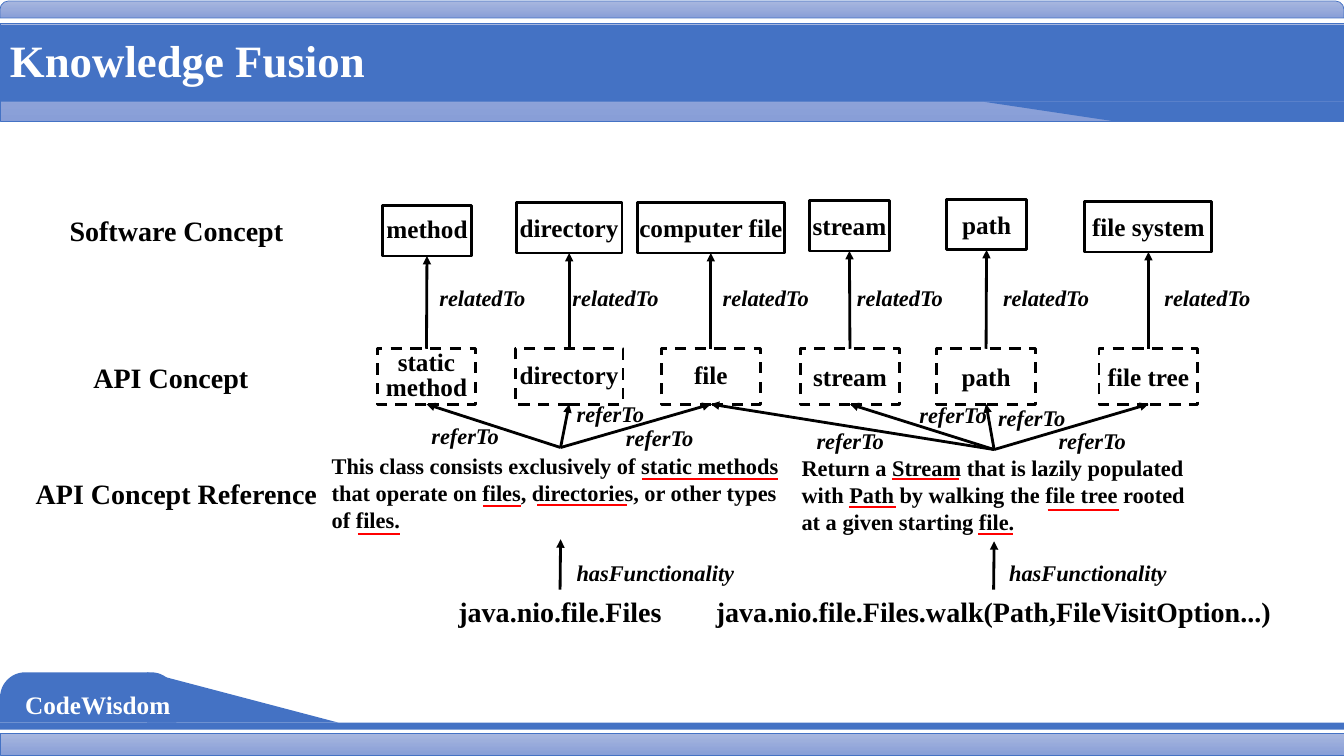
"""Build the Knowledge Fusion slide: concepts, references and API elements joined by arrows."""
from lxml.etree import SubElement
from pptx import Presentation
from pptx.dml.color import RGBColor
from pptx.enum.dml import MSO_LINE
from pptx.enum.shapes import MSO_CONNECTOR, MSO_SHAPE
from pptx.enum.text import MSO_ANCHOR, MSO_AUTO_SIZE, PP_ALIGN
from pptx.oxml.ns import qn
from pptx.util import Pt

PX = 9144
BLUE, BLACK, WHITE, RED = "4472C4", "000000", "FFFFFF", "FF0000"
TOP, BOTTOM = 0, 2
color = RGBColor.from_string

presentation = Presentation()
presentation.slide_width = 1333 * PX
presentation.slide_height = 750 * PX
slide = presentation.slides.add_slide(presentation.slide_layouts[6])


def write(text, box, shape=None, size=16, ink=BLACK, italic=False, centered=False,
          wrap=False, side=10, spacing=None):
    """Write text into a given shape, or into a new text box, and return it."""
    target = shape or slide.shapes.add_textbox(*[length * PX for length in box])
    frame = target.text_frame
    frame.word_wrap = wrap
    frame.margin_left = frame.margin_right = side * PX
    if shape:
        frame.margin_top = frame.margin_bottom = 0
        frame.vertical_anchor = MSO_ANCHOR.MIDDLE
    else:
        frame.auto_size = MSO_AUTO_SIZE.SHAPE_TO_FIT_TEXT
    paragraph = frame.paragraphs[0]
    paragraph.alignment = PP_ALIGN.CENTER if centered else PP_ALIGN.LEFT
    if spacing:
        paragraph.line_spacing = Pt(spacing)
    run = paragraph.add_run()
    run.text = text
    run.font.name = "Times New Roman"
    run.font.size = Pt(size)
    run.font.bold = True
    run.font.italic = italic
    run.font.color.rgb = color(ink)
    return target


def draw_line(ends=(0, 0, 0, 0), start=None, finish=None, ink=BLACK, width=2):
    """Draw a red mark between two points, or an arrow from one box's top to another's bottom."""
    connector = slide.shapes.add_connector(
        MSO_CONNECTOR.STRAIGHT, *[length * PX for length in ends])
    connector.line.color.rgb = color(ink)
    connector.line.width = Pt(width)
    properties = connector._element.spPr
    if start and finish:
        connector.begin_connect(start, TOP)
        connector.end_connect(finish, BOTTOM)
        SubElement(properties.find(qn("a:ln")), qn("a:tailEnd"), type="triangle")
    SubElement(properties, qn("a:effectLst"))


bands = [
    (MSO_SHAPE.ROUND_2_SAME_RECTANGLE, (0, 1, 1333, 17), True, 0),
    (MSO_SHAPE.RECTANGLE, (0, 23, 1333, 97), True, 0),
    (MSO_SHAPE.RECTANGLE, (0, 25, 1333, 76), False, 0),
    (MSO_SHAPE.RIGHT_TRIANGLE, (976, 101, 127, 19), False, 180),
    (MSO_SHAPE.RECTANGLE, (1103, 101, 230, 19), False, 0),
    (MSO_SHAPE.RECTANGLE, (0, 728, 1333, 21), True, 0),
    (MSO_SHAPE.RECTANGLE, (0, 717, 1333, 7), False, 0),
    (MSO_SHAPE.ROUND_2_SAME_RECTANGLE, (0, 667, 175, 50), False, 0),
    (MSO_SHAPE.RIGHT_TRIANGLE, (146, 667, 190, 50), False, 0),
]
for kind, box, shaded, rotation in bands:
    band = slide.shapes.add_shape(kind, *[length * PX for length in box])
    band.shadow.inherit = False
    band.rotation = rotation
    if kind == MSO_SHAPE.ROUND_2_SAME_RECTANGLE:
        band.adjustments[0] = 0.5
    if shaded:
        band.fill.gradient()
        band.fill.gradient_angle = 270
        for stop, shade in zip(band.fill.gradient_stops, ("A8B7DF", "889ED7")):
            stop.color.rgb = color(shade)
        band.line.color.rgb = color(BLUE)
        band.line.width = Pt(0.5)
    else:
        band.fill.solid()
        band.fill.fore_color.rgb = color(BLUE)
        band.line.fill.background()

write("Knowledge Fusion", (0, 28, 375, 64), size=32, ink=WHITE)
write("CodeWisdom", (14, 679, 166, 40), size=18, ink=WHITE, centered=True)
for text, box in [
    ("Software Concept", (58, 207, 234, 44)),
    ("API Concept", (82, 353, 175, 44)),
    ("API Concept Reference", (24, 468, 302, 44)),
]:
    write(text, box, size=20, centered=True)

columns = [
    ("method", (379, 204, 89, 50), 18, "static method", (374, 346, 98, 55), 18, 426),
    ("directory", (512, 201, 105, 50), None, "directory", (511, 346, 107, 55), 18, 558),
    ("computer file", (632, 201, 146, 50), None, "file", (656, 346, 98, 55), 18, 707),
    ("stream", (803, 199, 79, 50), None, "stream", (794, 346, 98, 55), None, 840),
    ("path", (939, 198, 79, 50), None, "path", (929, 346, 98, 55), None, 985),
    ("file system", (1076, 200, 126, 50), None, "file tree", (1090, 346, 98, 55), None, 1145),
]
api_concepts = {}
for software, software_box, software_spacing, api, api_box, api_spacing, label_left in columns:
    pair = []
    for text, box, spacing, dashed in [
        (software, software_box, software_spacing, False),
        (api, api_box, api_spacing, True),
    ]:
        concept = slide.shapes.add_shape(
            MSO_SHAPE.RECTANGLE, *[length * PX for length in box])
        concept.shadow.inherit = False
        concept.line.color.rgb = color(BLACK)
        concept.line.width = Pt(2)
        if dashed:
            concept.fill.background()
            concept.line.dash_style = MSO_LINE.DASH
        else:
            concept.fill.solid()
            concept.fill.fore_color.rgb = color(WHITE)
        write(text, box, shape=concept, size=18, centered=True, wrap=True, side=0,
              spacing=spacing)
        pair.append(concept)
    software_concept, api_concepts[api] = pair
    draw_line(start=api_concepts[api], finish=software_concept)
    write("relatedTo", (label_left, 277, 107, 37), italic=True)

references = [
    ("This class consists exclusively of static methods that operate on files, "
     "directories, or other types of files.", (329, 444, 454, 91),
     "java.nio.file.Files", (444, 585, 223, 44), 562,
     ["static method", "directory", "file"]),
    ("Return a Stream that is lazily populated with Path by walking the file tree "
     "rooted at a given starting file.", (795, 446, 382, 91),
     "java.nio.file.Files.walk(Path,FileVisitOption...)", (694, 585, 583, 44), 991,
     ["file", "stream", "path", "file tree"]),
]
for sentence, sentence_box, element, element_box, label_left, targets in references:
    reference = write(sentence, sentence_box, wrap=True, side=0)
    api_element = write(element, element_box, size=20, centered=True)
    draw_line(start=api_element, finish=reference)
    write("hasFunctionality", (label_left, 550, 179, 37), italic=True)
    for target in targets:
        draw_line(start=reference, finish=api_concepts[target])

for left, top in [(418, 414), (562, 392), (611, 416), (800, 419),
                  (902, 393), (980, 396), (1040, 419)]:
    write("referTo", (left, top, 88, 37), italic=True)

for left, right, height in [
    (637, 772, 475), (533, 622, 501), (355, 397, 530), (479, 517, 502),
    (885, 951, 475), (842, 889, 503), (1039, 1110, 506), (970, 1005, 530),
]:
    draw_line((left, height, right, height), ink=RED, width=1.5)

presentation.save("out.pptx")
